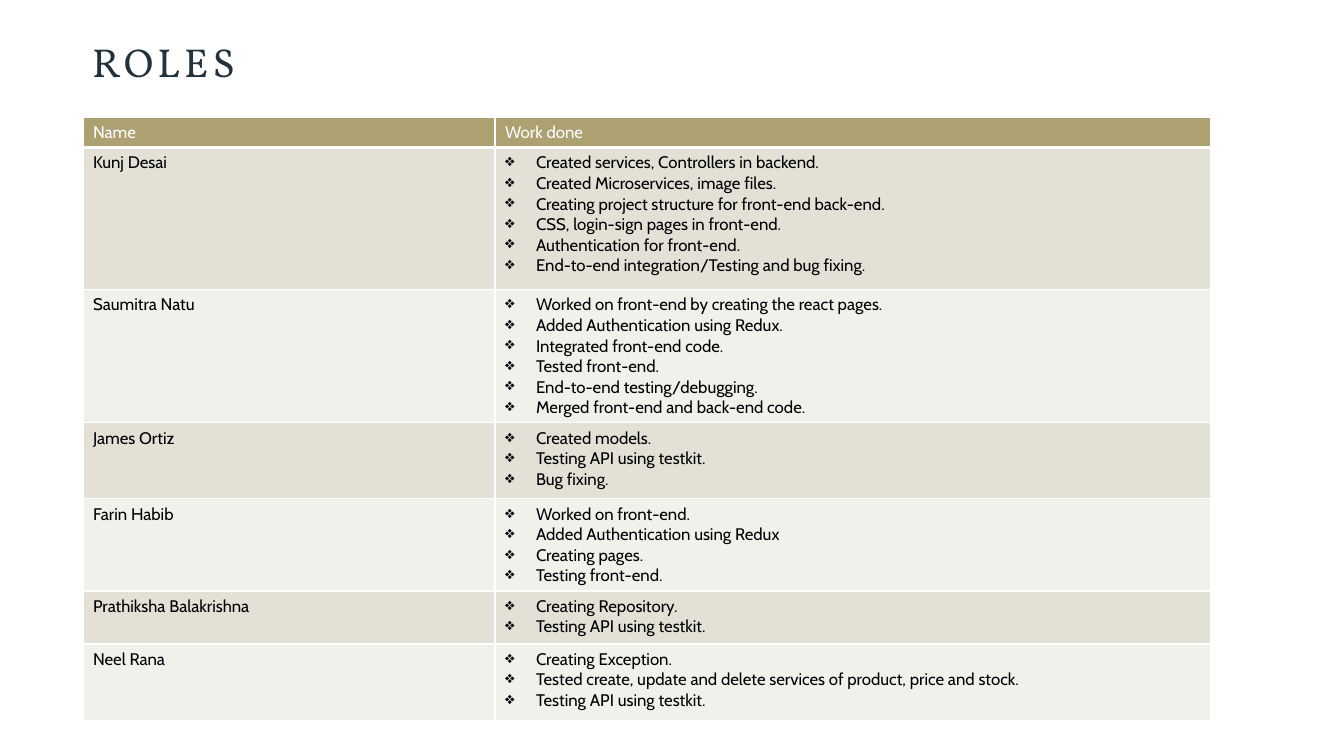
from pptx import Presentation
from pptx.dml.color import RGBColor
from pptx.enum.text import MSO_ANCHOR, MSO_AUTO_SIZE, PP_ALIGN
from pptx.oxml.ns import qn
from pptx.util import Pt
from lxml import etree

LEFT = PP_ALIGN.LEFT
BOTTOM = MSO_ANCHOR.BOTTOM
NO_FIT = MSO_AUTO_SIZE.NONE
SCALE = 914400 / 100.8

ROLES = [
    ("Kunj Desai", 142, [
        "Created services, Controllers in backend.",
        "Created Microservices, image files.",
        "Creating project structure for front-end back-end.",
        "CSS, login-sign pages in front-end.",
        "Authentication for front-end.",
        "End-to-end integration/Testing and bug fixing."]),
    ("Saumitra Natu", 133, [
        "Worked on front-end by creating the react pages.",
        "Added Authentication using Redux.",
        "Integrated front-end code.",
        "Tested front-end.",
        "End-to-end testing/debugging.",
        "Merged front-end and back-end code."]),
    ("James Ortiz", 76, [
        "Created models.",
        "Testing API using testkit.",
        "Bug fixing."]),
    ("Farin Habib", 92, [
        "Worked on front-end.",
        "Added Authentication using Redux",
        "Creating pages.",
        "Testing front-end."]),
    ("Prathiksha Balakrishna", 53, [
        "Creating Repository.",
        "Testing API using testkit."]),
    ("Neel Rana", 77, [
        "Creating Exception.",
        "Tested create, update and delete services of product, price and stock.",
        "Testing API using testkit."]),
]


def px(num):
    """Turn pixels into EMU."""
    return round(num * SCALE)


def color(code):
    """Turn a hex string into a colour."""
    return RGBColor.from_string(code)


def write(frame, lines, font="Cabin", size=12, ink="000000", track=0,
          space=1.0, mark=None):
    """Fill a text frame with one paragraph per line."""
    for i, line in enumerate(lines):
        para = frame.add_paragraph() if i else frame.paragraphs[0]
        para.alignment = LEFT
        para.line_spacing = space
        run = para.add_run()
        run.text = line
        run.font.name, run.font.size = font, Pt(size)
        run.font.bold = False
        run.font.color.rgb = color(ink)
        if track:
            run.font._element.set("spc", str(track * 100))
        if mark:
            props = para._p.get_or_add_pPr()
            props.set("marL", str(px(31)))
            props.set("indent", str(-px(31)))
            etree.SubElement(props, qn("a:buChar")).set("char", mark)


class Deck:
    """Hold the style and the current slide."""

    head, bands, edge, ink = "ADA172", ("E3E0D5", "F1F0EB"), "FFFFFF", "22333D"

    def __init__(self, show):
        """Add a title-only slide."""
        self.slide = show.slides.add_slide(show.slide_layouts[5])

    def title(self, text, x, y, w, h):
        """Place and format the title."""
        box = self.slide.shapes.title
        box.left, box.top, box.width, box.height = map(px, (x, y, w, h))
        frame = box.text_frame
        frame.auto_size, frame.word_wrap = NO_FIT, True
        frame.vertical_anchor = BOTTOM
        write(frame, [text], font="Vollkorn", size=28.8, ink=self.ink,
              track=3, space=0.9)

    def border(self, cell, side, width):
        """Draw one edge of a cell."""
        line = etree.SubElement(cell._tc.get_or_add_tcPr(), qn("a:ln" + side))
        line.set("w", str(Pt(width)))
        fill = etree.SubElement(line, qn("a:solidFill"))
        etree.SubElement(fill, qn("a:srgbClr")).set("val", self.edge)

    def cell(self, cell, lines, fill, thick="", **style):
        """Fill one cell, with a heavy line on the thick side."""
        for side in "LRTB":
            self.border(cell, side, 3 if side == thick else 1)
        cell.fill.solid()
        cell.fill.fore_color.rgb = color(fill)
        write(cell.text_frame, lines, **style)

    def table(self, heads, rows, x, y, cols, top):
        """Draw a banded table of names and bullet lists."""
        highs = [top] + [high for _, high, _ in rows]
        grid = self.slide.shapes.add_table(
            len(highs), len(cols), px(x), px(y),
            px(sum(cols)), px(sum(highs))).table
        grid.first_row = grid.horz_banding = False
        for col, wide in zip(grid.columns, cols):
            col.width = px(wide)
        for row, high in zip(grid.rows, highs):
            row.height = px(high)
        for i, head in enumerate(heads):
            self.cell(grid.cell(0, i), [head], self.head, "B", ink=self.edge)
        for i, (name, _, tasks) in enumerate(rows):
            fill, thick = self.bands[i % 2], "" if i else "T"
            self.cell(grid.cell(i + 1, 0), [name], fill, thick)
            self.cell(grid.cell(i + 1, 1), tasks, fill, thick, mark="❖")


show = Presentation()
show.slide_width, show.slide_height = px(1344), px(756)
deck = Deck(show)
deck.title("ROLES", 82, 8, 1114, 83)
deck.table(["Name", "Work done"], ROLES, 83, 117, [412, 716], 30)
show.save("out.pptx")
